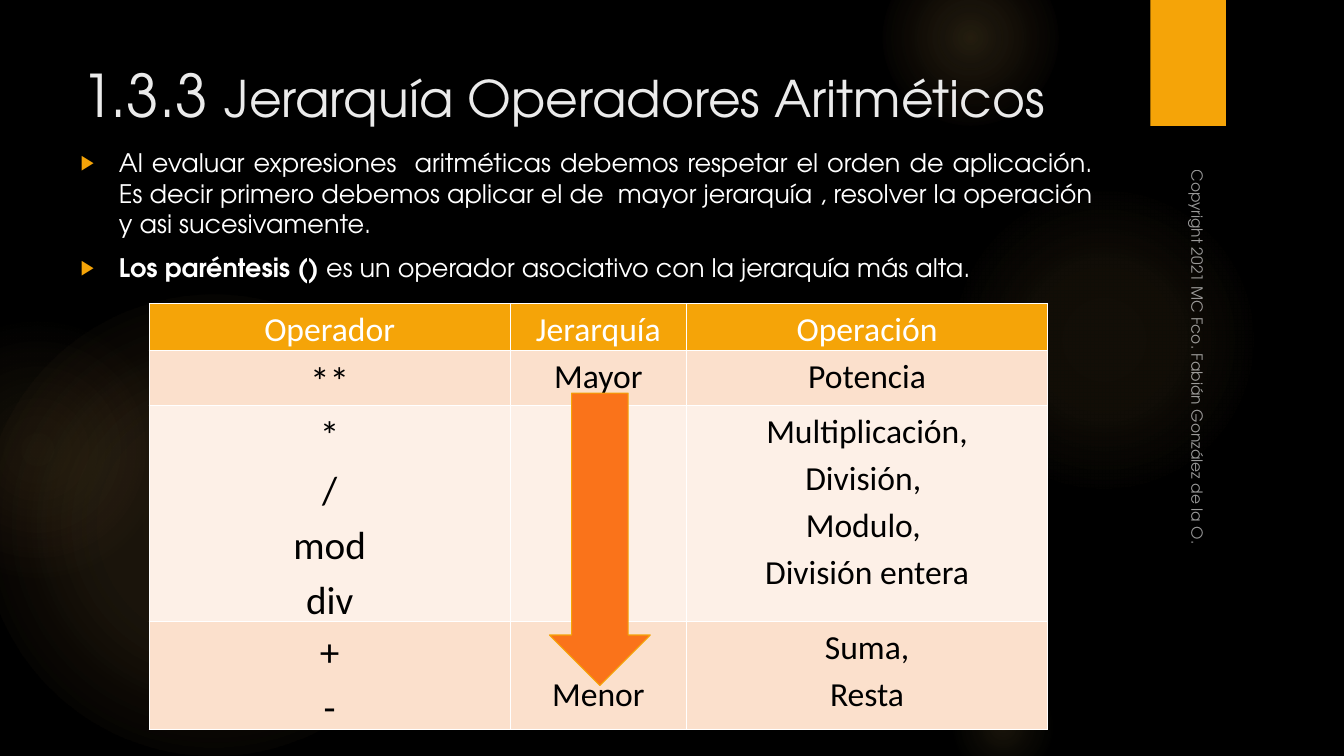
import pptx
import pptx.dml.color
import pptx.enum.shapes
import pptx.enum.text
import pptx.oxml
import pptx.oxml.ns
import pptx.util
from pptx.util import Inches

COLORS = {
    "black": "000000", "white": "FFFFFF", "title": "EBEBEB",
    "amber": "F5A408", "arrow": "FA731A", "glow": "FAC96A",
    "glow_edge": "F59B74", "band": "FBE0CC", "band_light": "FDF0E7",
}
HEADING_FONT = "TeX Gyre Adventor"
TABLE_FONT = "Calibri"
ALIGN = pptx.enum.text.PP_ALIGN
ANCHOR = pptx.enum.text.MSO_ANCHOR
SHAPE = pptx.enum.shapes.MSO_SHAPE
qn = pptx.oxml.ns.qn


def xml(markup):
    """Parse one DrawingML element whose opening tag has a {ns} slot."""
    return pptx.oxml.parse_xml(markup.replace("{ns}", pptx.oxml.ns.nsdecls("a")))


def rgb(name):
    return pptx.dml.color.RGBColor.from_string(COLORS[name])


class SlideBuilder:
    def __init__(self, slide):
        self.slide = slide
        slide.background.fill.solid()
        slide.background.fill.fore_color.rgb = rgb("black")

    def run(self, paragraph, text, size, color, font=HEADING_FONT, bold=False):
        run = paragraph.add_run()
        run.text = text
        run.font.size = pptx.util.Pt(size)
        run.font.name = font
        run.font.bold = bold
        run.font.color.rgb = rgb(color)
        return run

    def shape(self, kind, box, fill=None, line=None):
        shape = self.slide.shapes.add_shape(kind, *map(Inches, box))
        shape.shadow.inherit = False
        if fill:
            shape.fill.solid()
            shape.fill.fore_color.rgb = rgb(fill)
        else:
            shape.fill.background()
        if line:
            shape.line.color.rgb = rgb(line)
            shape.line.width = pptx.util.Pt(0.75)
        else:
            shape.line.fill.background()
        return shape

    def glow(self, left, top, size, stops):
        """Circle that fades out from its centre; stops are (place, colour, opacity) in %."""
        circle = self.shape(SHAPE.OVAL, (left, top, size, size))
        marks = "".join(
            f'<a:gs pos="{place * 1000}"><a:srgbClr val="{COLORS[color]}">'
            f'<a:alpha val="{opacity * 1000}"/></a:srgbClr></a:gs>'
            for place, color, opacity in stops)
        gradient = xml(
            f'<a:gradFill {{ns}} rotWithShape="1"><a:gsLst>{marks}</a:gsLst><a:path path="circle">'
            '<a:fillToRect l="50000" t="50000" r="50000" b="50000"/></a:path></a:gradFill>')
        properties = circle.element.spPr
        properties.replace(properties.find(qn("a:noFill")), gradient)

    def placeholder(self, index, box, anchor):
        holder = self.slide.placeholders[index]
        holder.left, holder.top, holder.width, holder.height = map(Inches, box)
        holder.element.getparent().append(holder.element)  # in front of the glows
        frame = holder.text_frame
        frame.word_wrap = True
        frame.auto_size = pptx.enum.text.MSO_AUTO_SIZE.NONE
        frame.vertical_anchor = anchor
        return frame

    def title(self, box, parts):
        heading = self.placeholder(0, box, ANCHOR.MIDDLE).paragraphs[0]
        heading.alignment = ALIGN.LEFT
        for text, size in parts:
            self.run(heading, text, size, "title")

    def bullets(self, box, points, size):
        frame = self.placeholder(1, box, ANCHOR.TOP)
        for number, parts in enumerate(points):
            point = frame.add_paragraph() if number else frame.paragraphs[0]
            point.alignment = ALIGN.JUSTIFY
            point.space_before = pptx.util.Pt(size * 0.2)
            point.space_after = pptx.util.Pt(6)
            for text, bold in parts:
                self.run(point, text, size, "white", bold=bold)
            settings = point._p.get_or_add_pPr()
            settings.set("marL", str(Inches(0.38)))
            settings.set("indent", str(-Inches(0.38)))
            settings.append(xml(f'<a:buClr {{ns}}><a:srgbClr val="{COLORS["amber"]}"/></a:buClr>'))
            settings.append(xml('<a:buSzPct {ns} val="80000"/>'))
            settings.append(xml('<a:buChar {ns} char="▶"/>'))

    def side_note(self, box, text):
        note = self.slide.shapes.add_textbox(*map(Inches, box))
        note.rotation = 90
        note.text_frame.word_wrap = True
        note.text_frame.vertical_anchor = ANCHOR.BOTTOM
        run = self.run(note.text_frame.paragraphs[0], text, 11, "white")
        tint = run.font.fill._xPr.find(qn("a:solidFill"))[0]
        tint.append(xml('<a:alpha {ns} val="60000"/>'))

    def cell(self, cell, lines, size, color, fill):
        cell.fill.solid()
        cell.fill.fore_color.rgb = rgb(fill)
        cell.margin_left = cell.margin_right = Inches(0.07)
        cell.margin_top = cell.margin_bottom = 0
        for number, text in enumerate(lines):
            frame = cell.text_frame
            line = frame.add_paragraph() if number else frame.paragraphs[0]
            line.alignment = ALIGN.CENTER
            line.line_spacing = 1.15
            self.run(line, text, size, color, TABLE_FONT)
        properties = cell._tc.get_or_add_tcPr()
        for place, side in enumerate(("lnL", "lnR", "lnT", "lnB")):
            properties.insert(place, xml(
                f'<a:{side} {{ns}} w="12700"><a:solidFill><a:srgbClr val="{COLORS["white"]}"/>'
                f'</a:solidFill></a:{side}>'))

    def table(self, left, top, widths, heights, rows):
        box = map(Inches, (left, top, sum(widths), sum(heights)))
        table = self.slide.shapes.add_table(len(rows), len(widths), *box).table
        table.first_row = table.horz_banding = False
        for column, width in zip(table.columns, widths):
            column.width = Inches(width)
        for r, (height, row) in enumerate(zip(heights, rows)):
            table.rows[r].height = Inches(height)
            fill = "amber" if r == 0 else "band" if r % 2 else "band_light"
            for c, lines in enumerate(row):
                size = 28 if r and c == 0 else 24
                self.cell(table.cell(r, c), lines, size, "black" if r else "white", fill)
        return table


def main():
    deck = pptx.Presentation()
    deck.slide_width, deck.slide_height = Inches(13.33), Inches(7.5)
    page = SlideBuilder(deck.slides.add_slide(deck.slide_layouts[1]))

    # Background glows and corner tab
    for left, top, size, inner, middle, edge in (
            (-0.17, 2.92, 4.58, 11, (36, 10), (75, "glow")),
            (-0.92, 3.17, 2.58, 8, (36, 5), (71, "glow_edge")),
            (9.41, 1.83, 3.08, 7, (36, 6), (69, "glow")),
            (8.75, -0.5, 1.75, 14, (36, 7), (73, "glow")),
            (9.41, 6.67, 1.08, 10, (31, 5), (66, "glow"))):
        page.glow(left, top, size, (
            (0, "glow", inner), (middle[0], "glow", middle[1]), (*edge, 0)))
    page.shape(SHAPE.RECTANGLE, (11.41, 0, 0.75, 1.25), "amber")

    # Title, rules and copyright
    page.title((0.71, 0.5, 10.29, 0.86),
               (("1.3.3 ", 42), ("Jerarquía Operadores Aritméticos", 36)))
    page.bullets((0.7, 1.41, 10.25, 1.38), (
        (("Al evaluar expresiones  aritméticas debemos respetar el orden de aplicación. "
          "Es decir primero debemos aplicar el de  mayor jerarquía , resolver la operación "
          "y asi sucesivamente.", False),),
        (("Los paréntesis ()", True),
         (" es un operador asociativo con la jerarquía más alta.", False))), 18.2)
    page.side_note((9.79, 3.53, 4.22, 0.33), "Copyright 2021 MC Fco. Fabián González de la O.")

    # Operator table
    operators = page.table(1.48, 3.01, (3.58, 1.75, 3.58), (0.47, 0.54, 2.14, 1.07), (
        (("Operador",), ("Jerarquía",), ("Operación",)),
        (("**",), ("Mayor",), ("Potencia",)),
        (("*", "/", "mod", "div"), (),
         ("Multiplicación,", "División, ", "Modulo, ", "División entera")),
        (("+", "-"), ("Menor",), ("Suma,", "Resta"))))
    operators.cell(3, 1).margin_top = Inches(0.47)  # one line lower

    # Arrow from highest to lowest
    descent = page.shape(SHAPE.DOWN_ARROW, (5.45, 3.9, 1, 2.9), "arrow", "amber")
    descent.adjustments[0] = 0.56
    descent.adjustments[1] = 0.5

    deck.save("out.pptx")


if __name__ == "__main__":
    main()
